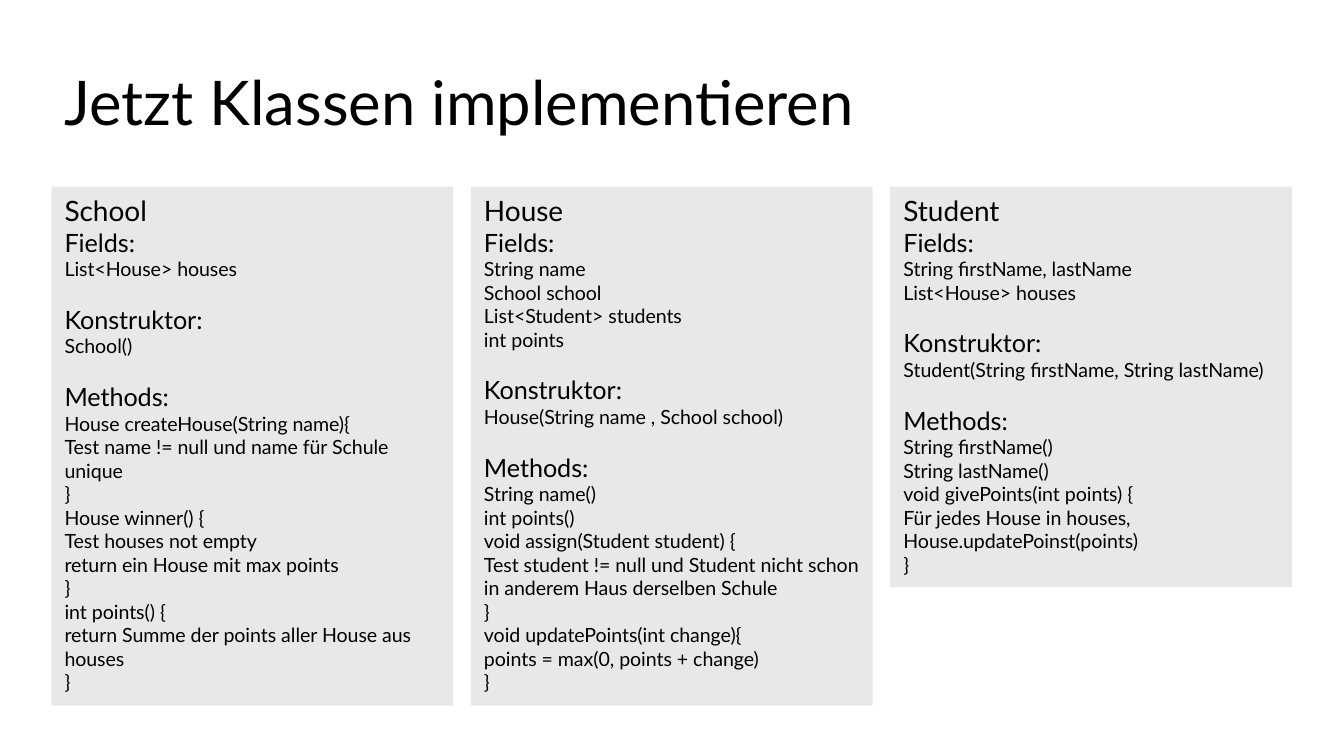
from pptx import Presentation
from pptx.dml.color import RGBColor
from pptx.enum import shapes, text
from pptx.util import Pt

# Content: class name, then its sections with their lines
TITLE = "Jetzt Klassen implementieren"
CLASSES = [
    ("School", {
        "Fields:": ["List<House> houses"],
        "Konstruktor:": ["School()"],
        "Methods:": [
            "House createHouse(String name){",
            "Test name != null und name für Schule unique",
            "}",
            "House winner() {",
            "Test houses not empty",
            "return ein House mit max points",
            "}",
            "int points() {",
            "return Summe der points aller House aus houses",
            "}",
        ],
    }),
    ("House", {
        "Fields:": ["String name", "School school", "List<Student> students", "int points"],
        "Konstruktor:": ["House(String name , School school)"],
        "Methods:": [
            "String name()",
            "int points()",
            "void assign(Student student) {",
            "Test student != null und Student nicht schon in anderem Haus derselben Schule",
            "}",
            "void updatePoints(int change){",
            "points = max(0, points + change)",
            "}",
        ],
    }),
    ("Student", {
        "Fields:": ["String firstName, lastName", "List<House> houses"],
        "Konstruktor:": ["Student(String firstName, String lastName)"],
        "Methods:": [
            "String firstName()",
            "String lastName()",
            "void givePoints(int points) {",
            "Für jedes House in houses, House.updatePoinst(points)",
            "}",
        ],
    }),
]

THEME = {
    "font": "Lato",
    "ink": RGBColor(0, 0, 0),
    "card": RGBColor(0xE8, 0xE8, 0xE8),
    "title": 33,
    "class": 15,
    "section": 13.5,
    "line": 10.5,
}

# Layout in points
LEFT, CARD_TOP = 27.5, 100
CARD_WIDTH, CARD_GAP = 215.3, 9.4
CARD_HEIGHTS = [278, 278, 214.5]
SECTION_GAP = 12.6  # one blank code line


def write(paragraph, words, role, space_before=0):
    paragraph.text = words
    paragraph.alignment = text.PP_ALIGN.LEFT
    paragraph.space_before = Pt(space_before)
    paragraph.font.name = THEME["font"]
    paragraph.font.size = Pt(THEME[role])
    paragraph.font.color.rgb = THEME["ink"]


def add_class_card(slide, left, height, name, sections):
    card = slide.shapes.add_shape(
        shapes.MSO_SHAPE.RECTANGLE, Pt(left), Pt(CARD_TOP), Pt(CARD_WIDTH), Pt(height))
    card.shadow.inherit = False
    card.fill.solid()
    card.fill.fore_color.rgb = THEME["card"]
    card.line.fill.background()
    frame = card.text_frame
    frame.word_wrap = True
    frame.vertical_anchor = text.MSO_ANCHOR.TOP
    write(frame.paragraphs[0], name, "class")
    for index, (heading, lines) in enumerate(sections.items()):
        write(frame.add_paragraph(), heading, "section", SECTION_GAP if index else 0)
        for line in lines:
            write(frame.add_paragraph(), line, "line")


def main():
    deck = Presentation()
    deck.slide_width, deck.slide_height = Pt(720), Pt(405)
    slide = deck.slides.add_slide(deck.slide_layouts[6])

    # Title
    heading = slide.shapes.add_textbox(Pt(LEFT), Pt(17.3), Pt(620.6), Pt(78.5)).text_frame
    heading.word_wrap = True
    heading.vertical_anchor = text.MSO_ANCHOR.MIDDLE
    write(heading.paragraphs[0], TITLE, "title")
    heading.paragraphs[0].line_spacing = 0.9

    # One card per class
    for column, ((name, sections), height) in enumerate(zip(CLASSES, CARD_HEIGHTS)):
        left = LEFT + column * (CARD_WIDTH + CARD_GAP)
        add_class_card(slide, left, height, name, sections)

    deck.save("out.pptx")


if __name__ == "__main__":
    main()
